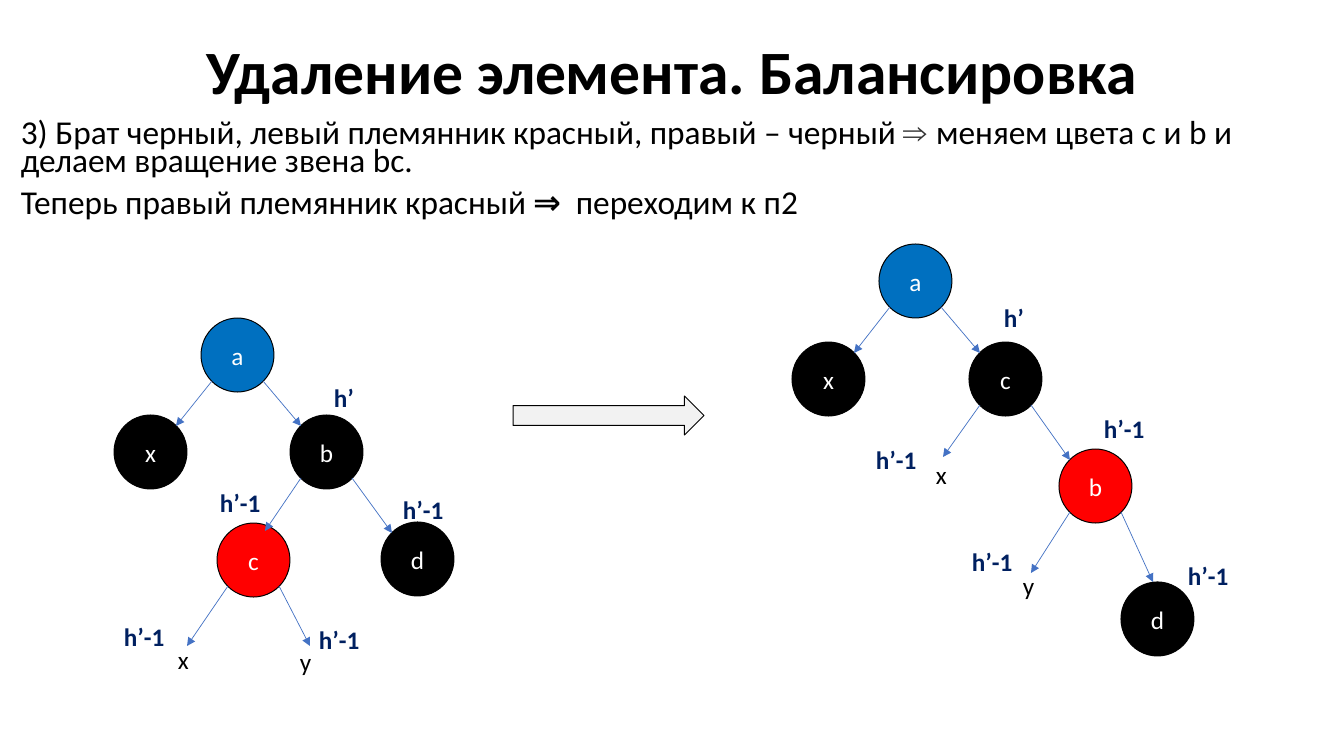
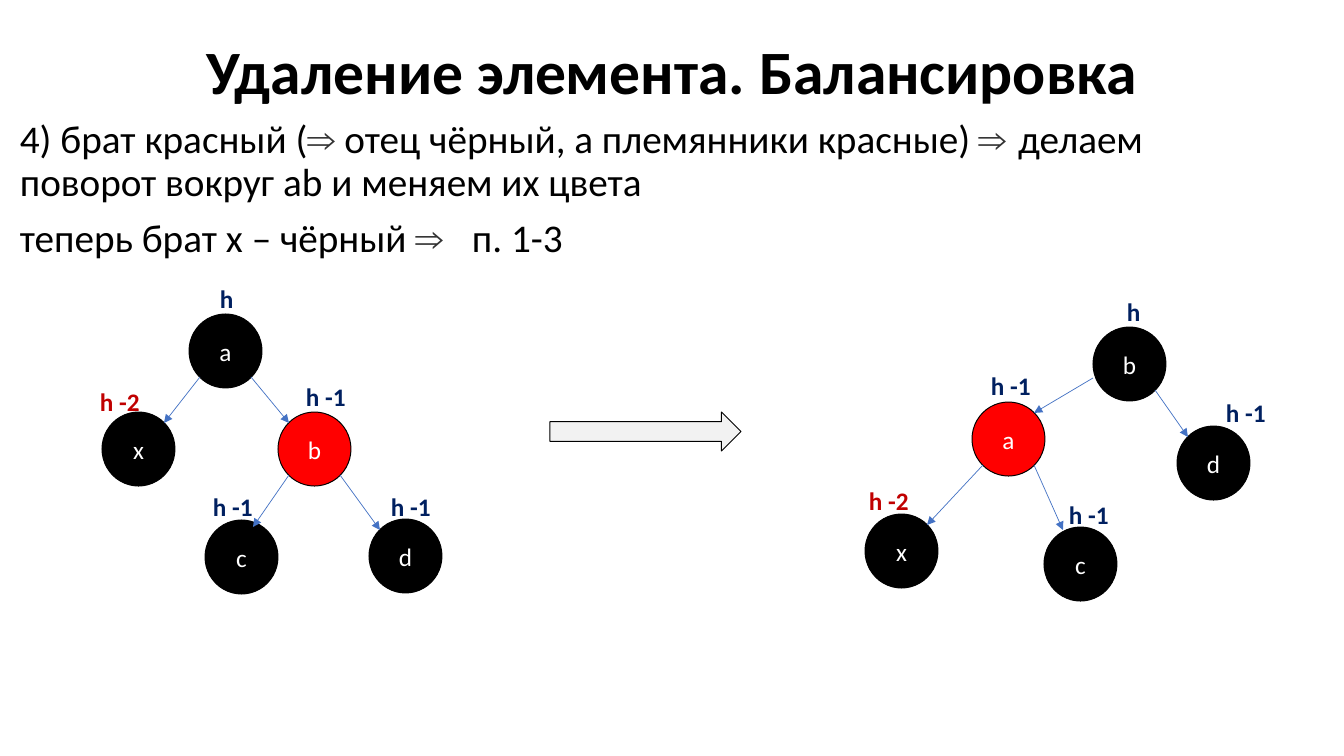
"""Build two slides on rebalancing a red-black tree after a deletion."""
import pptx
import pptx.dml.color
import pptx.enum.shapes
import pptx.enum.text
import pptx.oxml.ns
import pptx.util
from lxml import etree

COLORS = {"black": "000000", "red": "FF0000", "blue": "0070C0", "white": "FFFFFF",
          "edge": "4472C4", "navy": "002060", "crimson": "C00000", "grey": "333333"}
FONT = "Calibri"
TITLE = "Удаление элемента. Балансировка"
TITLE_BOX = (93, 2, 1159, 146)
SLIDE_W, SLIDE_H = 1344, 756
NODE_W, NODE_H = 73, 74
CORNER = 11
LABEL_W, LABEL_H = 73, 40
ARROW_W, ARROW_H = 191, 39
LABEL_STYLES = {"x": ("black", False), "y": ("black", False), "h -2": ("crimson", True)}
RUN_STYLES = {"thin": ("Arial", "grey"), "heavy": (FONT, "black")}

SLIDES = [
    {
        "body_box": (11, 117, 1241, 113), "size": 23.8, "spacing": 0.7, "tab": 555,
        "body": [
            [("3) Брат черный, левый племянник красный, правый – черный ", None), ("⇒ ", "thin"),
             ("меняем цвета c и b и делаем вращение звена bc.", None)],
            [("Теперь правый племянник красный ", None), ("⇒", "heavy"),
             ("\tпереходим к п2", None)],
        ],
        "arrow": (513, 396),
        "trees": [
            {
                "nodes": {"a": (201, 318, "blue"), "c": (217, 523, "red"),
                          "x": (114, 415, "black"), "b": (290, 415, "black"),
                          "d": (381, 522, "black")},
                "edges": [("a", "x"), ("a", "b"), ("b", (265, 531)), ("b", "d"),
                          ("c", (187, 646)), ("c", (310, 646))],
                "labels": [("x", 168, 639), ("y", 290, 641), ("h’", 324, 377),
                           ("h’-1", 210, 482), ("h’-1", 393, 489),
                           ("h’-1", 114, 616), ("h’-1", 309, 619)],
            },
            {
                "nodes": {"a": (879, 244, "blue"), "d": (1121, 582, "black"),
                          "x": (792, 342, "black"), "c": (969, 342, "black"),
                          "b": (1059, 449, "red")},
                "edges": [("a", "x"), ("a", "c"), ("c", (943, 457)), ("c", "b"),
                          ("b", (1031, 573)), ("b", (1153, 582))],
                "labels": [("x", 926, 454), ("y", 1013, 565), ("h’", 994, 297),
                           ("h’-1", 866, 439), ("h’-1", 1094, 408),
                           ("h’-1", 962, 541), ("h’-1", 1178, 555)],
            },
        ],
    },
    {
        "body_box": (10, 115, 1271, 234), "size": 28, "spacing": 0.9, "tab": 452,
        "body": [
            [("4) брат красный (", None), ("⇒", "thin"),
             (" отец чёрный, а племянники красные) ", None), ("⇒ ", "thin"),
             ("делаем поворот вокруг ab и меняем их цвета", None)],
            [("теперь брат x – чёрный ", None), ("⇒", "thin"), ("\tп. 1-3", None)],
        ],
        "arrow": (550, 412),
        "trees": [
            {
                "nodes": {"a": (189, 314, "black"), "c": (205, 520, "black"),
                          "x": (102, 412, "black"), "b": (278, 412, "red"),
                          "d": (369, 519, "black")},
                "edges": [("a", "x"), ("a", "b"), ("b", (253, 527)), ("b", "d")],
                "labels": [("h", 210, 278), ("h -1", 381, 486), ("h -1", 203, 486),
                           ("h -1", 296, 376), ("h -2", 90, 381)],
            },
            {
                "nodes": {"b": (1093, 327, "black"), "a": (972, 402, "red"),
                          "c": (1044, 527, "black"), "d": (1177, 426, "black"),
                          "x": (865, 514, "black")},
                "edges": [((1093, 378), "a"), ("a", "x"), ("a", (1063, 530)), ("b", "d")],
                "labels": [("h", 1117, 291), ("h -1", 1059, 494), ("h -2", 859, 480),
                           ("h -1", 1216, 392), ("h -1", 981, 365)],
            },
        ],
    },
]


def px(*values):
    return [pptx.util.Emu(round(v * 12192000 / SLIDE_W)) for v in values]


def rgb(name):
    return pptx.dml.color.RGBColor.from_string(COLORS[name])


def add_xml(parent, tag, **attrs):
    return etree.SubElement(parent, pptx.oxml.ns.qn(tag), **attrs)


def set_font(font, size, color, bold=False, name=FONT):
    font.name, font.size, font.bold = name, pptx.util.Pt(size), bold
    font.color.rgb = rgb(color)


def add_text(s, box, text, size, color, bold):
    tf = s.shapes.add_textbox(*px(*box)).text_frame
    tf.word_wrap = True
    p = tf.paragraphs[0]
    p.text = text
    set_font(p.font, size, color, bold)
    return tf


def add_title(s):
    tf = add_text(s, TITLE_BOX, TITLE, 44, "black", True)
    tf.vertical_anchor = pptx.enum.text.MSO_ANCHOR.MIDDLE
    tf.paragraphs[0].alignment = pptx.enum.text.PP_ALIGN.CENTER
    tf.paragraphs[0].line_spacing = 0.9


def add_body(s, slide):
    tf = s.shapes.add_textbox(*px(*slide["body_box"])).text_frame
    tf.word_wrap = True
    for i, runs in enumerate(slide["body"]):
        p = tf.add_paragraph() if i else tf.paragraphs[0]
        p.line_spacing = slide["spacing"]
        if i:
            p.space_before = pptx.util.Pt(10)
        tabs = add_xml(p._p.get_or_add_pPr(), "a:tabLst")
        add_xml(tabs, "a:tab", pos=str(px(slide["tab"])[0]), algn="l")
        set_font(p.font, slide["size"], "black")
        for text, style in runs:
            r = p.add_run()
            r.text = text
            if style:
                name, color = RUN_STYLES[style]
                set_font(r.font, slide["size"], color, True, name)


def add_outlined(s, kind, box, fill):
    sp = s.shapes.add_shape(kind, *px(*box))
    sp.shadow.inherit = False
    sp.fill.solid()
    sp.fill.fore_color.rgb = rgb(fill)
    sp.line.color.rgb = rgb("black")
    sp.line.width = pptx.util.Pt(0.71)
    return sp


def add_node(s, name, left, top, fill):
    sp = add_outlined(s, pptx.enum.shapes.MSO_SHAPE.OVAL, (left, top, NODE_W, NODE_H), fill)
    tf = sp.text_frame
    tf.vertical_anchor = pptx.enum.text.MSO_ANCHOR.MIDDLE
    p = tf.paragraphs[0]
    p.text = name
    p.alignment = pptx.enum.text.PP_ALIGN.CENTER
    set_font(p.font, 18, "white")


def add_step_arrow(s, left, top):
    kind = pptx.enum.shapes.MSO_SHAPE.RIGHT_ARROW
    sp = add_outlined(s, kind, (left, top, ARROW_W, ARROW_H), "black")
    color = sp._element.spPr.find(pptx.oxml.ns.qn("a:solidFill"))[0]
    add_xml(color, "a:alpha", val="5000")


def center_x(end, nodes):
    return nodes[end][0] + NODE_W / 2 if end in nodes else end[0]


def edge_point(end, other, nodes, lower):
    """Return a fixed point, or the diagonal point of a node that faces the other end."""
    if end not in nodes:
        return end
    left, top, _ = nodes[end]
    faces_left = center_x(other, nodes) < center_x(end, nodes)
    return (left + (CORNER if faces_left else NODE_W - CORNER),
            top + (NODE_H - CORNER if lower else CORNER))


def add_edge(s, start, end, nodes):
    points = edge_point(start, end, nodes, True) + edge_point(end, start, nodes, False)
    line = s.shapes.add_connector(pptx.enum.shapes.MSO_CONNECTOR.STRAIGHT, *px(*points))
    line.line.color.rgb = rgb("edge")
    line.line.width = pptx.util.Pt(0.5)
    add_xml(line.line._get_or_add_ln(), "a:tailEnd", type="triangle")
    add_xml(line._element.spPr, "a:effectLst")


def add_tree(s, tree):
    nodes = tree["nodes"]
    for name, node in nodes.items():
        add_node(s, name, *node)
    for start, end in tree["edges"]:
        add_edge(s, start, end, nodes)
    for text, left, top in tree["labels"]:
        color, bold = LABEL_STYLES.get(text, ("navy", True))
        add_text(s, (left, top, LABEL_W, LABEL_H), text, 18, color, bold)


def main():
    prs = pptx.Presentation()
    prs.slide_width, prs.slide_height = px(SLIDE_W, SLIDE_H)
    for slide in SLIDES:
        s = prs.slides.add_slide(prs.slide_layouts[6])
        add_body(s, slide)
        add_title(s)
        add_step_arrow(s, *slide["arrow"])
        for tree in slide["trees"]:
            add_tree(s, tree)
    prs.save("out.pptx")


if __name__ == "__main__":
    main()
